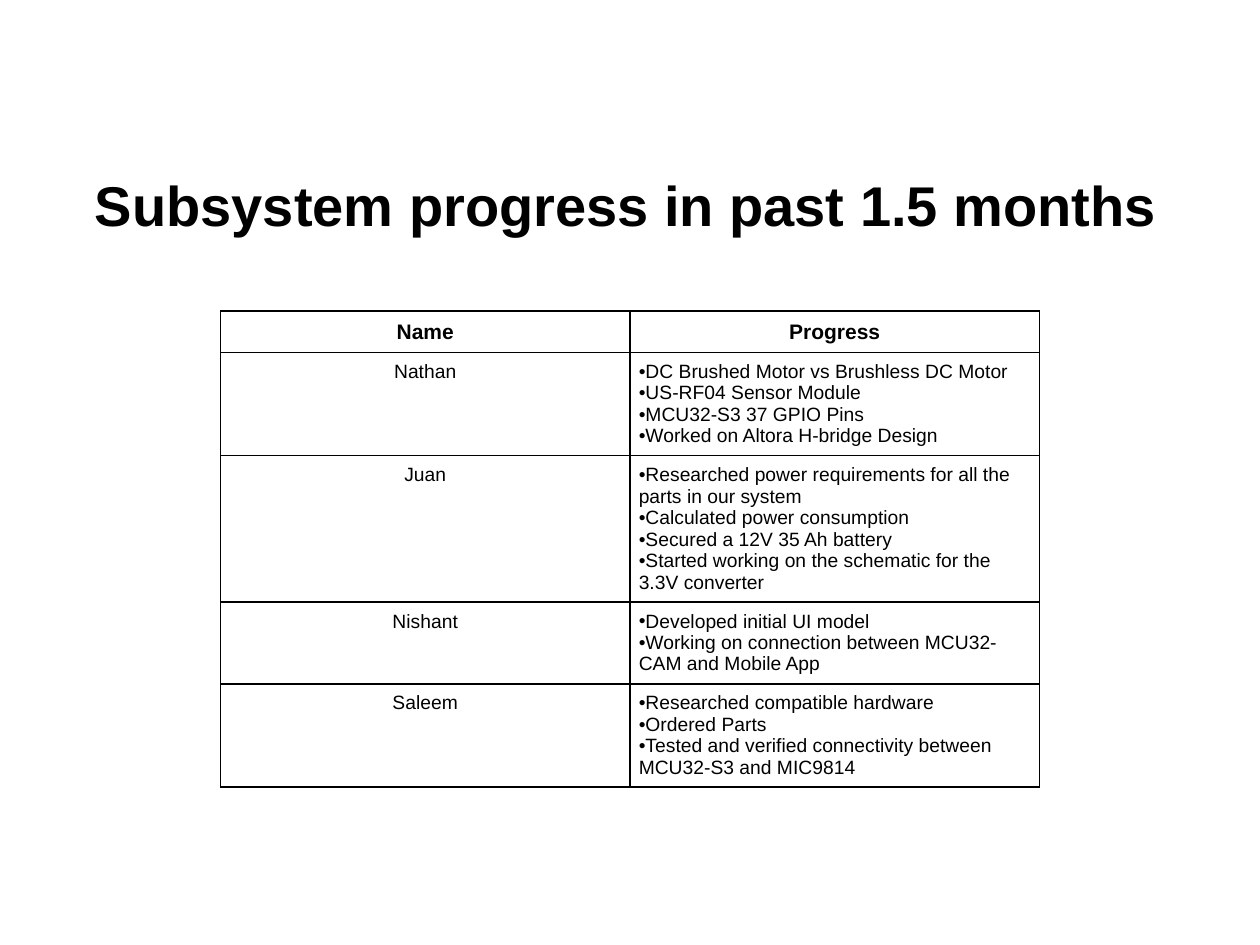
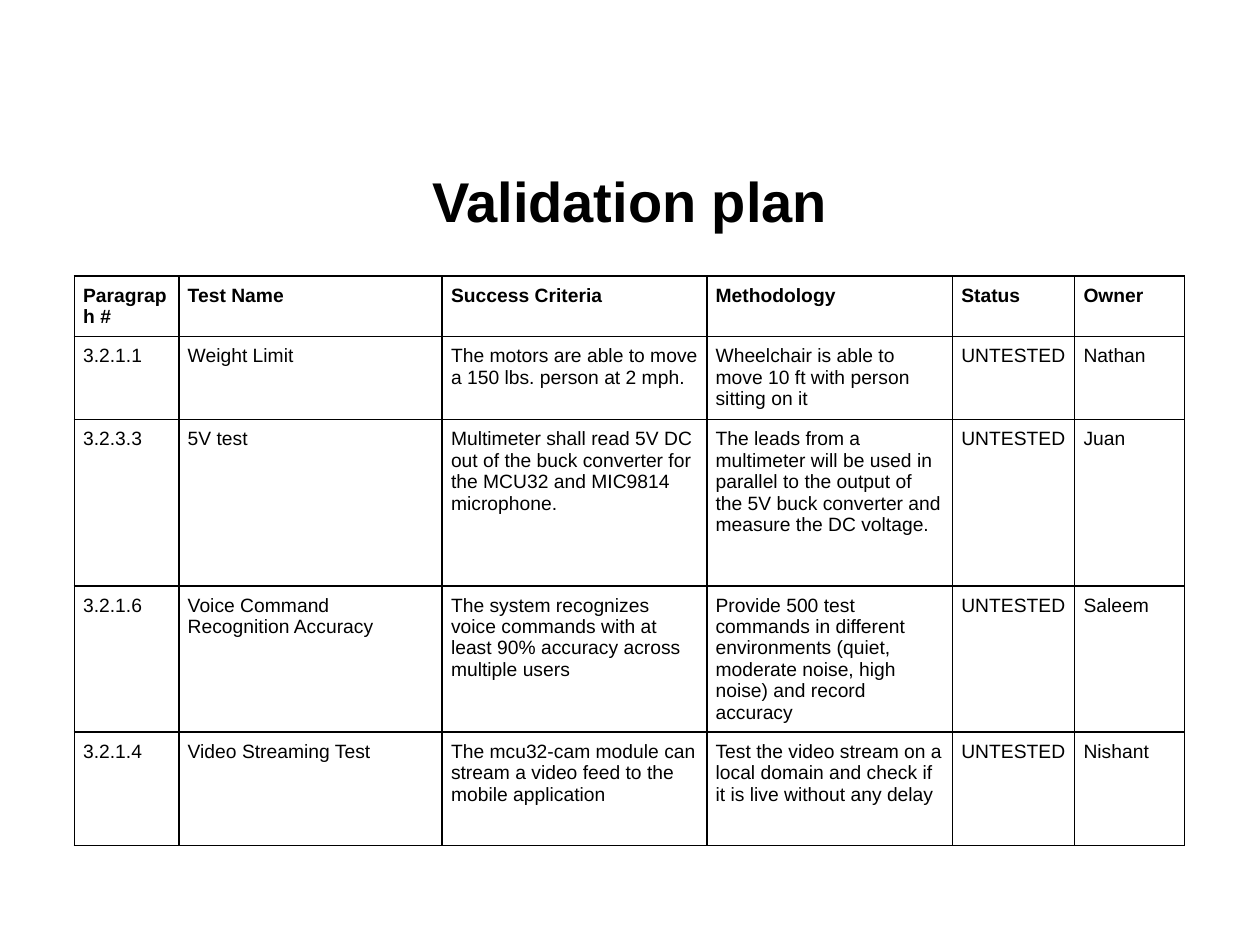
from lxml.etree import SubElement
from pptx import Presentation
from pptx.dml.color import RGBColor
from pptx.enum.text import MSO_ANCHOR, PP_ALIGN
from pptx.oxml.ns import qn
from pptx.util import Inches, Pt

FONT = "Arial"
INK = "000000"
CELL_MARGIN = Inches(0.07)
BULLET = "\u2022"


def format_paragraph(paragraph, size, bold, alignment):
    paragraph.alignment = alignment
    for run in paragraph.runs:
        run.font.name = FONT
        run.font.size = Pt(size)
        run.font.bold = bold
        run.font.color.rgb = RGBColor.from_string(INK)


def format_cell(cell, lines, size, bold, alignment, bulleted):
    cell.margin_left = cell.margin_right = CELL_MARGIN
    cell.margin_top = cell.margin_bottom = CELL_MARGIN
    cell.text_frame.text = "\n".join(lines)
    for paragraph in cell.text_frame.paragraphs:
        format_paragraph(paragraph, size, bold, alignment)
        if bulleted:
            properties = paragraph._p.get_or_add_pPr()
            properties.set("marL", "0")
            properties.set("indent", "0")
            SubElement(properties, qn("a:buFont"), typeface=FONT)
            SubElement(properties, qn("a:buChar"), char=BULLET)
    # Thin border on all four sides, then no fill
    cell_properties = cell._tc.get_or_add_tcPr()
    for side in ("lnL", "lnR", "lnT", "lnB"):
        border = SubElement(cell_properties, qn(f"a:{side}"), w=str(Pt(1)))
        border_fill = SubElement(border, qn("a:solidFill"))
        SubElement(border_fill, qn("a:srgbClr"), val=INK)
    cell.fill.background()


# Progress: a list of lines becomes a bulleted cell
progress_rows = [
    ["Name", "Progress"],
    ["Nathan", ["DC Brushed Motor vs Brushless DC Motor",
                "US-RF04 Sensor Module",
                "MCU32-S3 37 GPIO Pins",
                "Worked on Altora H-bridge Design"]],
    ["Juan", ["Researched power requirements for all the parts in our system",
              "Calculated power consumption",
              "Secured a 12V 35 Ah battery",
              "Started working on the schematic for the 3.3V converter"]],
    ["Nishant", ["Developed initial UI model",
                 "Working on connection between MCU32-CAM and Mobile App"]],
    ["Saleem", ["Researched compatible hardware",
                "Ordered Parts",
                "Tested and verified connectivity between MCU32-S3 and MIC9814"]],
]

# Validation plan
validation_rows = [
    ["Paragraph #", "Test Name\u00a0", "Success Criteria", "Methodology",
     "Status", "Owner"],
    ["3.2.1.1", "Weight Limit",
     "The motors are able to move a 150 lbs. person at 2 mph.",
     "Wheelchair is able to move 10 ft with person sitting on it",
     "UNTESTED", "Nathan"],
    ["3.2.3.3", "5V test",
     "Multimeter shall read 5V DC out of the buck converter for the MCU32 "
     "and MIC9814 microphone.",
     "The leads from a multimeter will be used in parallel to the output of "
     "the 5V buck converter and measure the DC voltage.",
     "UNTESTED", "Juan"],
    ["3.2.1.6", "Voice Command Recognition Accuracy",
     "The system recognizes voice commands with at least 90% accuracy across "
     "multiple users",
     "Provide 500 test commands in different environments (quiet, moderate "
     "noise, high noise) and record accuracy",
     "UNTESTED", "Saleem"],
    ["3.2.1.4", "Video Streaming Test",
     "The mcu32-cam module can stream a video feed to the mobile application",
     "Test the video stream on a local domain and check if it is "
     "live\u00a0without any delay",
     "UNTESTED", "Nishant"],
]

# Row heights are minimums: rows grow to fit their text
slides = [
    {"title": "Subsystem progress in past 1.5 months", "title_at": (0.47, 1.18),
     "table_at": (1.75, 2.47), "rows": progress_rows,
     "widths": [3.25, 3.25], "heights": [0.3, 0.8, 1.1, 0.6, 0.8],
     "header_size": 12, "alignment": PP_ALIGN.CENTER},
    {"title": "Validation plan", "title_at": (0.5, 1.15),
     "table_at": (0.59, 2.19), "rows": validation_rows,
     "widths": [0.83, 2.09, 2.1, 1.95, 0.97, 0.87],
     "heights": [0.45, 0.66, 1.32, 1.11, 0.9],
     "header_size": 11, "alignment": PP_ALIGN.LEFT},
]

presentation = Presentation()
presentation.slide_width = Inches(10)
presentation.slide_height = Inches(7.5)
title_only = presentation.slide_layouts[5]

for content in slides:
    slide = presentation.slides.add_slide(title_only)

    # Title
    title = slide.shapes.title
    title.left, title.top = (Inches(value) for value in content["title_at"])
    title.width, title.height = Inches(9), Inches(0.88)
    title.text_frame.text = content["title"]
    title.text_frame.vertical_anchor = MSO_ANCHOR.MIDDLE
    format_paragraph(title.text_frame.paragraphs[0], 32, True, PP_ALIGN.CENTER)

    # Table
    left, top = content["table_at"]
    widths, heights = content["widths"], content["heights"]
    table = slide.shapes.add_table(
        len(heights), len(widths), Inches(left), Inches(top),
        Inches(sum(widths)), Inches(sum(heights))).table
    table.first_row = table.horz_banding = False
    for column, width in zip(table.columns, widths):
        column.width = Inches(width)
    for row, height in zip(table.rows, heights):
        row.height = Inches(height)

    # Cells
    for row_index, values in enumerate(content["rows"]):
        is_header = row_index == 0
        size = content["header_size"] if is_header else 11
        for column_index, value in enumerate(values):
            bulleted = isinstance(value, list)
            format_cell(table.cell(row_index, column_index),
                        value if bulleted else [value], size, is_header,
                        PP_ALIGN.LEFT if bulleted else content["alignment"],
                        bulleted)

presentation.save("out.pptx")
